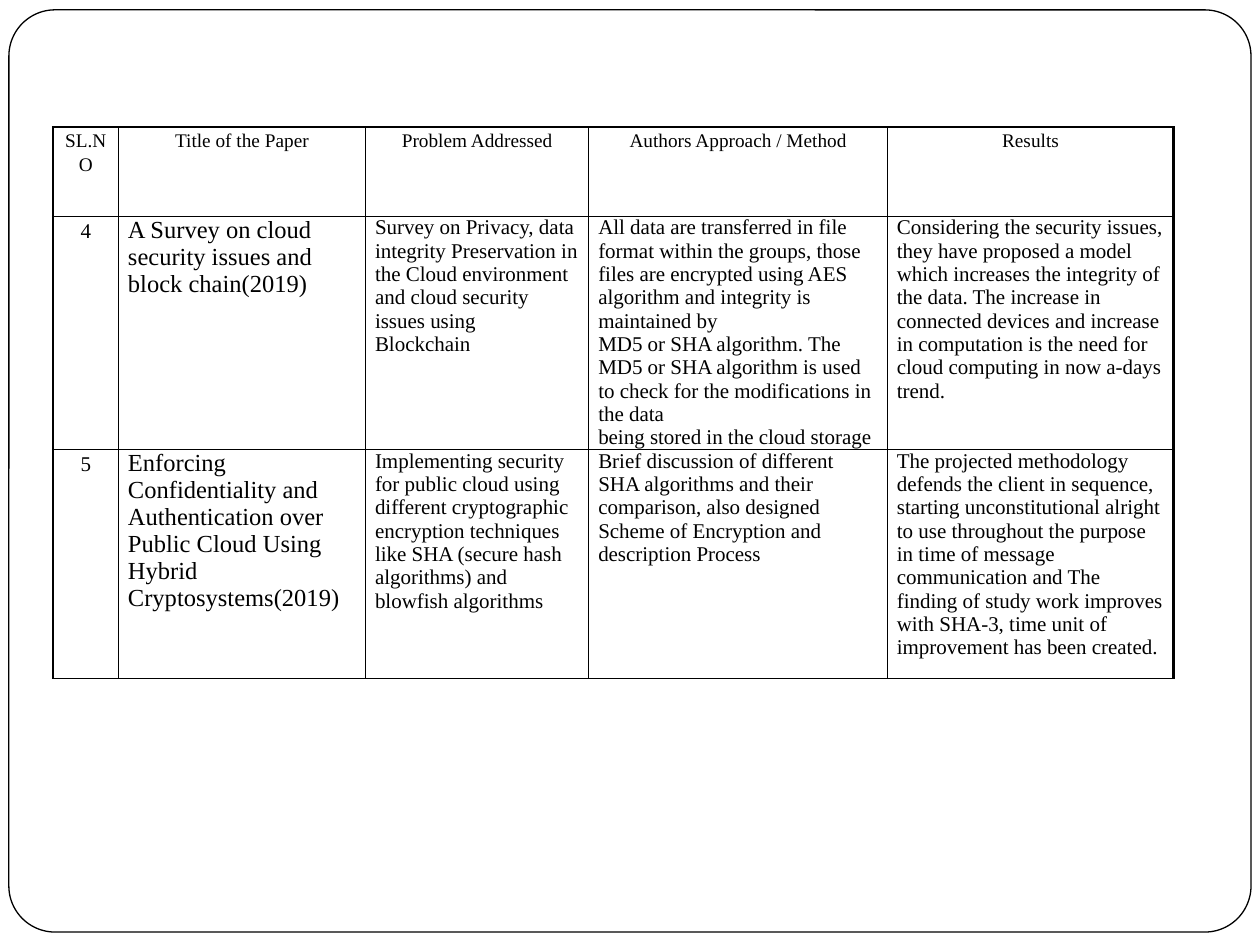
from dataclasses import dataclass

from lxml.etree import SubElement
from pptx import Presentation
from pptx.dml.color import RGBColor
from pptx.enum.shapes import MSO_SHAPE
from pptx.enum.text import PP_ALIGN
from pptx.oxml.ns import qn
from pptx.util import Cm, Pt


@dataclass(frozen=True)
class Theme:
    font: str = "Times New Roman"
    ink: RGBColor = RGBColor(0, 0, 0)
    paper: RGBColor = RGBColor(255, 255, 255)
    header_size: int = 11
    body_size: int = 12
    title_size: int = 14
    thin_line: float = 0.75
    outer_line: float = 1.5


THEME = Theme()
COLUMN_WIDTHS = (1.32, 4.98, 4.5, 6.02, 5.77)
ROW_HEIGHTS = (1.8, 3.96, 4.62)
HEADERS = ("SL.NO", "Title of the Paper", "Problem Addressed",
           "Authors Approach / Method", "Results")
# Within a cell, each line break starts a new paragraph.
PAPERS = (
    (
        "4",
        "A Survey on cloud security issues and block chain(2019)",
        "Survey on Privacy, data integrity Preservation in the Cloud environment "
        "and cloud security issues using\nBlockchain",
        "All data are transferred in file\n"
        "format within the groups, those files are encrypted using AES algorithm "
        "and integrity is maintained by\n"
        "MD5 or SHA algorithm. The MD5 or SHA algorithm is used to check for the "
        "modifications in the data\n"
        "being stored in the cloud storage",
        "Considering the security issues, they have proposed a model which increases "
        "the integrity of the data. The increase in connected devices and increase in "
        "computation is the need for cloud computing in now a-days trend.",
    ),
    (
        "5",
        "Enforcing Confidentiality and Authentication over Public Cloud Using "
        "Hybrid Cryptosystems(2019)",
        "Implementing security for public cloud using different cryptographic "
        "encryption techniques like SHA (secure hash algorithms) and blowfish algorithms",
        "Brief discussion of different SHA algorithms and their comparison, also "
        "designed Scheme of Encryption and description Process",
        "The projected methodology defends the client in sequence, starting "
        "unconstitutional alright to use throughout the purpose in time of message "
        "communication and The finding of study work improves with SHA-3, time unit "
        "of improvement has been created.",
    ),
)


def add_frame(slide):
    """Draw the rounded border around the whole slide."""
    frame = slide.shapes.add_shape(
        MSO_SHAPE.ROUNDED_RECTANGLE, Cm(0.18), Cm(0.2), Cm(25.04), Cm(18.59))
    frame.adjustments[0] = 0.05
    frame.shadow.inherit = False
    frame.fill.solid()
    frame.fill.fore_color.rgb = THEME.paper
    frame.line.color.rgb = THEME.ink
    frame.line.width = Pt(THEME.thin_line)


def write_cell(cell, text, size, centered=False):
    cell.margin_left = cell.margin_right = Cm(0.19)
    cell.margin_top = cell.margin_bottom = 0
    cell.text = text
    for paragraph in cell.text_frame.paragraphs:
        paragraph.alignment = PP_ALIGN.CENTER if centered else PP_ALIGN.LEFT
        paragraph.line_spacing = 1.15 if centered else 1.0
        for run in paragraph.runs:
            run.font.name = THEME.font
            run.font.size = Pt(size)
            run.font.color.rgb = THEME.ink


def style_cell(cell, left_line, right_line):
    """Border the cell, with its side lines in points, and fill it."""
    properties = cell._tc.get_or_add_tcPr()
    widths = {"a:lnL": left_line, "a:lnR": right_line,
              "a:lnT": THEME.thin_line, "a:lnB": THEME.thin_line}
    for tag, width in widths.items():
        line = SubElement(properties, qn(tag), w=str(Pt(width)))
        fill = SubElement(line, qn("a:solidFill"))
        SubElement(fill, qn("a:srgbClr"), val=str(THEME.ink))
    cell.fill.solid()
    cell.fill.fore_color.rgb = THEME.paper


def text_format(row, column):
    if row == 0:
        return {"size": THEME.header_size, "centered": True}
    if column == 1:
        return {"size": THEME.title_size}
    return {"size": THEME.body_size, "centered": column == 0}


def add_survey_table(slide):
    rows = (HEADERS, *PAPERS)
    table = slide.shapes.add_table(
        len(rows), len(HEADERS), Cm(1.07), Cm(2.56),
        Cm(sum(COLUMN_WIDTHS)), Cm(sum(ROW_HEIGHTS))).table
    table.first_row = table.horz_banding = False
    for column, width in zip(table.columns, COLUMN_WIDTHS):
        column.width = Cm(width)
    for row, height in zip(table.rows, ROW_HEIGHTS):
        row.height = Cm(height)

    last = len(HEADERS) - 1
    for row_index, texts in enumerate(rows):
        for column_index, text in enumerate(texts):
            cell = table.cell(row_index, column_index)
            write_cell(cell, text, **text_format(row_index, column_index))
            style_cell(
                cell,
                left_line=THEME.outer_line if column_index == 0 else THEME.thin_line,
                right_line=THEME.outer_line if column_index == last else THEME.thin_line)


def main():
    presentation = Presentation()
    presentation.slide_width = Cm(25.4)
    presentation.slide_height = Cm(19.05)
    slide = presentation.slides.add_slide(presentation.slide_layouts[6])
    add_frame(slide)
    add_survey_table(slide)
    presentation.save("out.pptx")


if __name__ == "__main__":
    main()
